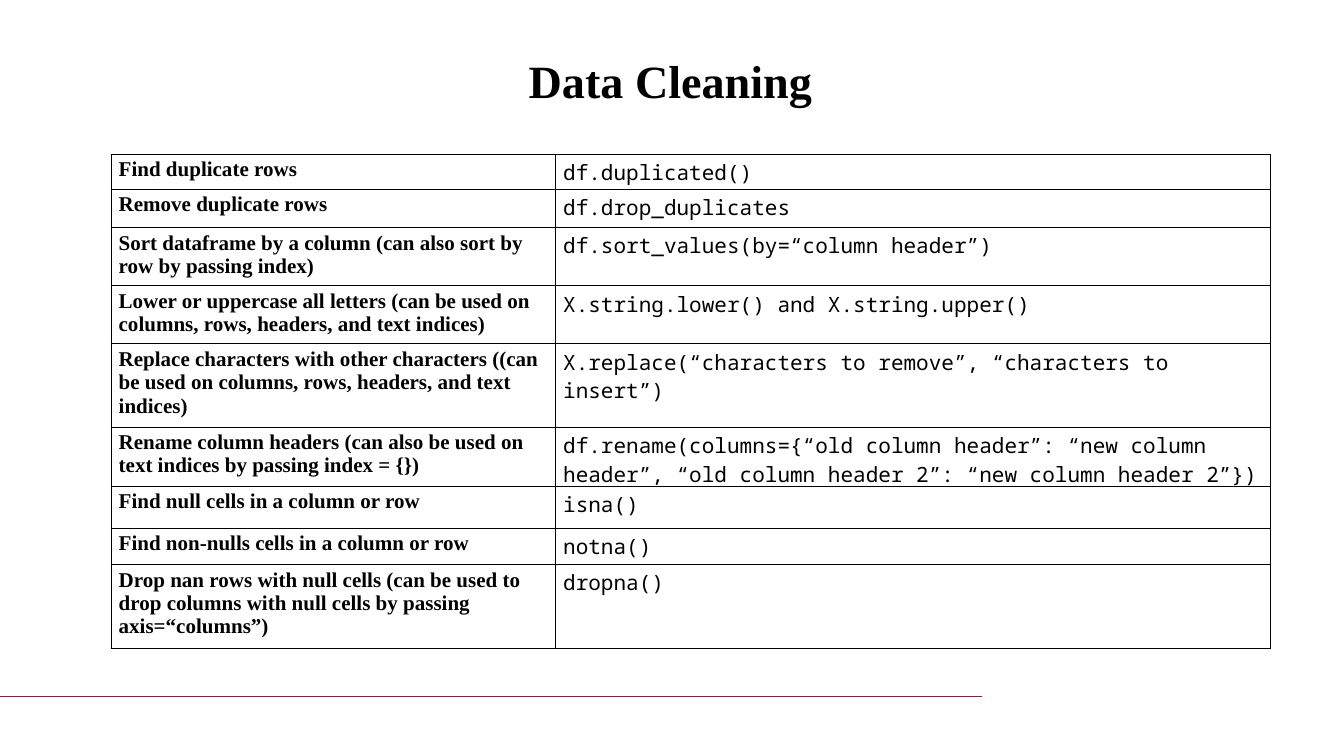
from lxml import etree
from pptx import Presentation
from pptx.dml.color import RGBColor
from pptx.enum.text import PP_ALIGN
from pptx.oxml.ns import qn
from pptx.util import Inches, Pt

BLACK = RGBColor(0x00, 0x00, 0x00)
CRIMSON = RGBColor(0xBC, 0x09, 0x40)
SERIF = "Times New Roman"
MONO = "Noto Sans Mono"

TITLE_FORMAT = {"name": SERIF, "size": Pt(44), "bold": True}
COLUMN_FORMATS = [
    {"name": SERIF, "size": Pt(20), "bold": True},
    {"name": MONO, "size": Pt(20), "bold": False},
]
COLUMN_WIDTHS = [5.88, 9.46]

# Row height, task, code
ROWS = [
    (0.46, "Find duplicate rows", "df.duplicated()"),
    (0.51, "Remove duplicate rows", "df.drop_duplicates"),
    (0.77, "Sort dataframe by a column (can also sort by row by passing index)",
     "df.sort_values(by=“column header”)"),
    (0.77, "Lower or uppercase all letters (can be used on columns, rows, headers, and text indices)",
     "X.string.lower() and X.string.upper()"),
    (1.1, "Replace characters with other characters ((can be used on columns, rows, headers, and text indices)",
     "X.replace(“characters to remove”, “characters to insert”)"),
    (0.78, "Rename column headers (can also be used on text indices by passing index = {})",
     "df.rename(columns={“old column header”: “new column header”, "
     "“old column header 2”: “new column header 2”})"),
    (0.56, "Find null cells in a column or row", "isna()"),
    (0.48, "Find non-nulls cells in a column or row", "notna()"),
    (1.11, "Drop nan rows with null cells (can be used to drop columns with null cells by passing axis=“columns”)",
     "dropna()"),
]


def write_text(paragraph, text, font_format):
    run = paragraph.add_run()
    run.text = text
    for attribute, value in font_format.items():
        setattr(run.font, attribute, value)
    run.font.color.rgb = BLACK


def add_borders(cell, color, width):
    """Draw all four cell edges; call before setting the fill, which must follow them in the XML."""
    properties = cell._tc.get_or_add_tcPr()
    for edge in ("a:lnL", "a:lnR", "a:lnT", "a:lnB"):
        line = etree.SubElement(properties, qn(edge), w=str(width))
        fill = etree.SubElement(line, qn("a:solidFill"))
        etree.SubElement(fill, qn("a:srgbClr"), val=str(color))


presentation = Presentation()
presentation.slide_width = Inches(17.78)
presentation.slide_height = Inches(10)
slide = presentation.slides.add_slide(presentation.slide_layouts[6])

# Footer rule
builder = slide.shapes.build_freeform(Inches(12.99), Inches(9.2))
builder.add_line_segments(
    [(Inches(x), Inches(y)) for x, y in [(0, 9.2), (0, 9.21), (12.99, 9.21)]], close=True)
footer_rule = builder.convert_to_shape()
footer_rule.shadow.inherit = False
footer_rule.fill.solid()
footer_rule.fill.fore_color.rgb = CRIMSON
footer_rule.line.fill.background()

# Title
title = slide.shapes.add_textbox(Inches(0.66), Inches(0.64), Inches(16.42), Inches(0.84))
title.text_frame.word_wrap = True
title_paragraph = title.text_frame.paragraphs[0]
title_paragraph.alignment = PP_ALIGN.CENTER
write_text(title_paragraph, "Data Cleaning", TITLE_FORMAT)

# Table of cleaning tasks
table = slide.shapes.add_table(
    len(ROWS), len(COLUMN_WIDTHS), Inches(1.47), Inches(2.04),
    Inches(sum(COLUMN_WIDTHS)), Inches(sum(row[0] for row in ROWS))).table
table.first_row = False
table.horz_banding = False
for column, width in zip(table.columns, COLUMN_WIDTHS):
    column.width = Inches(width)

for row, (height, *texts) in zip(table.rows, ROWS):
    row.height = Inches(height)
    for cell, text, font_format in zip(row.cells, texts, COLUMN_FORMATS):
        cell.margin_left = cell.margin_right = Inches(0.1)
        cell.margin_top = Inches(0.05)
        cell.margin_bottom = 0
        add_borders(cell, BLACK, Pt(1))
        cell.fill.background()
        write_text(cell.text_frame.paragraphs[0], text, font_format)

presentation.save("out.pptx")
